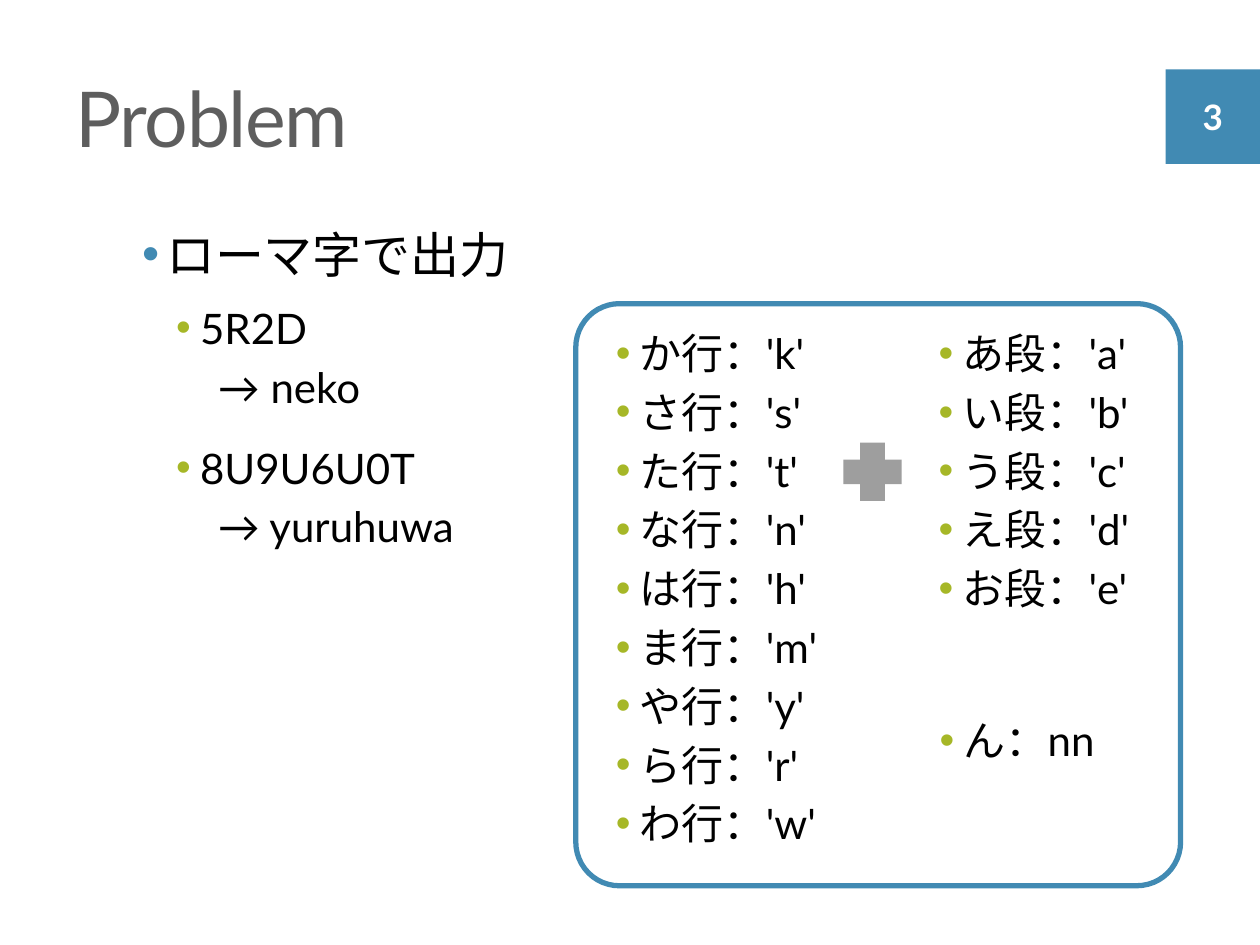
from pptx import Presentation
from pptx.dml.color import RGBColor
from pptx.enum.shapes import MSO_SHAPE
from pptx.enum.text import MSO_ANCHOR, MSO_AUTO_SIZE, PP_ALIGN
from pptx.util import Inches, Pt
from lxml.etree import SubElement
from pptx.oxml.ns import qn

BLUE, GREEN, GREY, INK = "418AB3", "A6B727", "9E9E9E", "000000"
FONT = "Lato"
ROWS = list(zip("かさたなはまやらわ", "kstnhmyrw"))
STEPS = list(zip("あいうえお", "abcde"))
CODES = [("5R2D", "neko"), ("8U9U6U0T", "yuruhuwa")]

deck = Presentation()
deck.slide_width, deck.slide_height = Inches(10), Inches(7.5)
slide = deck.slides.add_slide(deck.slide_layouts[1])
title, body = slide.placeholders


def color(code):
    return RGBColor.from_string(code)


def place(item, spot):
    item.left, item.top, item.width, item.height = map(Inches, spot)


def write(para, text, size, ink=INK, bold=False):
    run = para.add_run()
    run.text = text
    font = run.font
    font.name, font.size, font.bold = FONT, Pt(size), bold
    font.color.rgb = color(ink)
    return run


def indent(para, left, hang, dot=None):
    props = para._p.get_or_add_pPr()
    props.set("marL", str(Inches(left)))
    props.set("indent", str(Inches(hang)))
    if dot:
        tint = SubElement(props, qn("a:buClr"))
        SubElement(tint, qn("a:srgbClr")).set("val", dot)
        SubElement(props, qn("a:buFont")).set("typeface", "Arial")
        SubElement(props, qn("a:buChar")).set("char", "•")
    else:
        SubElement(props, qn("a:buNone"))


def fill_list(item, lines, level=1, size=24, dot=GREEN):
    frame = item.text_frame
    frame.word_wrap = True
    frame.auto_size = MSO_AUTO_SIZE.NONE
    frame.vertical_anchor = MSO_ANCHOR.TOP
    for i, (text, mark) in enumerate(lines):
        para = frame.add_paragraph() if i else frame.paragraphs[0]
        para.level = level
        para.alignment = PP_ALIGN.LEFT
        para.space_before = Pt(size * 0.2)
        left = 0.28 + 0.25 * level
        indent(para, left if mark else 0.67, -0.19 if mark else 0,
               dot if mark else None)
        write(para, text, size)


def add_list(spot, lines, **style):
    fill_list(slide.shapes.add_textbox(*map(Inches, spot)), lines, **style)


def add_shape(kind, spot, fill=None, line=None, adj=None):
    shape = slide.shapes.add_shape(kind, *map(Inches, spot))
    shape.shadow.inherit = False
    if fill:
        shape.fill.solid()
        shape.fill.fore_color.rgb = color(fill)
    else:
        shape.fill.background()
    if line:
        shape.line.color.rgb = color(line)
        shape.line.width = Pt(3)
    else:
        shape.line.fill.background()
    if adj:
        shape.adjustments[0] = adj
    return shape


place(title, (0.5, 0.3, 9.29, 1.25))
title.text_frame.vertical_anchor = MSO_ANCHOR.MIDDLE
title.text_frame.auto_size = MSO_AUTO_SIZE.NONE
head = title.text_frame.paragraphs[0]
head.alignment = PP_ALIGN.LEFT
write(head, "Problem", 44, "5E5E5E").font._element.set("spc", "-80")

place(body, (7.01, 2.55, 2.59, 3.68))
fill_list(body, [(f"{kana}段：'{key}'", True) for kana, key in STEPS])

badge = add_shape(MSO_SHAPE.RECTANGLE, (9.25, 0.55, 0.75, 0.75), fill=BLUE)
badge.text_frame.vertical_anchor = MSO_ANCHOR.MIDDLE
page = badge.text_frame.paragraphs[0]
page.alignment = PP_ALIGN.CENTER
write(page, "3", 20, "FFFFFF", True)

add_list((0.94, 1.73, 3.78, 0.88), [("ローマ字で出力", True)],
         level=0, size=28, dot=BLUE)
add_list((7.02, 5.62, 2.09, 0.62), [("ん：nn", True)])
add_list((4.45, 2.55, 2.84, 4.71),
         [(f"{kana}行：'{key}'", True) for kana, key in ROWS])
add_shape(MSO_SHAPE.MATH_PLUS, (6.61, 3.43, 0.63, 0.63), fill=GREY, adj=0.31)
for i, (code, word) in enumerate(CODES):
    add_list((0.96, 2.35 + 1.11 * i, 3.78, 1.2),
             [(code, True), (f"→ {word}", False)])
add_shape(MSO_SHAPE.ROUNDED_RECTANGLE, (4.57, 2.41, 4.8, 4.62),
          line=BLUE, adj=0.075)

deck.save("out.pptx")
